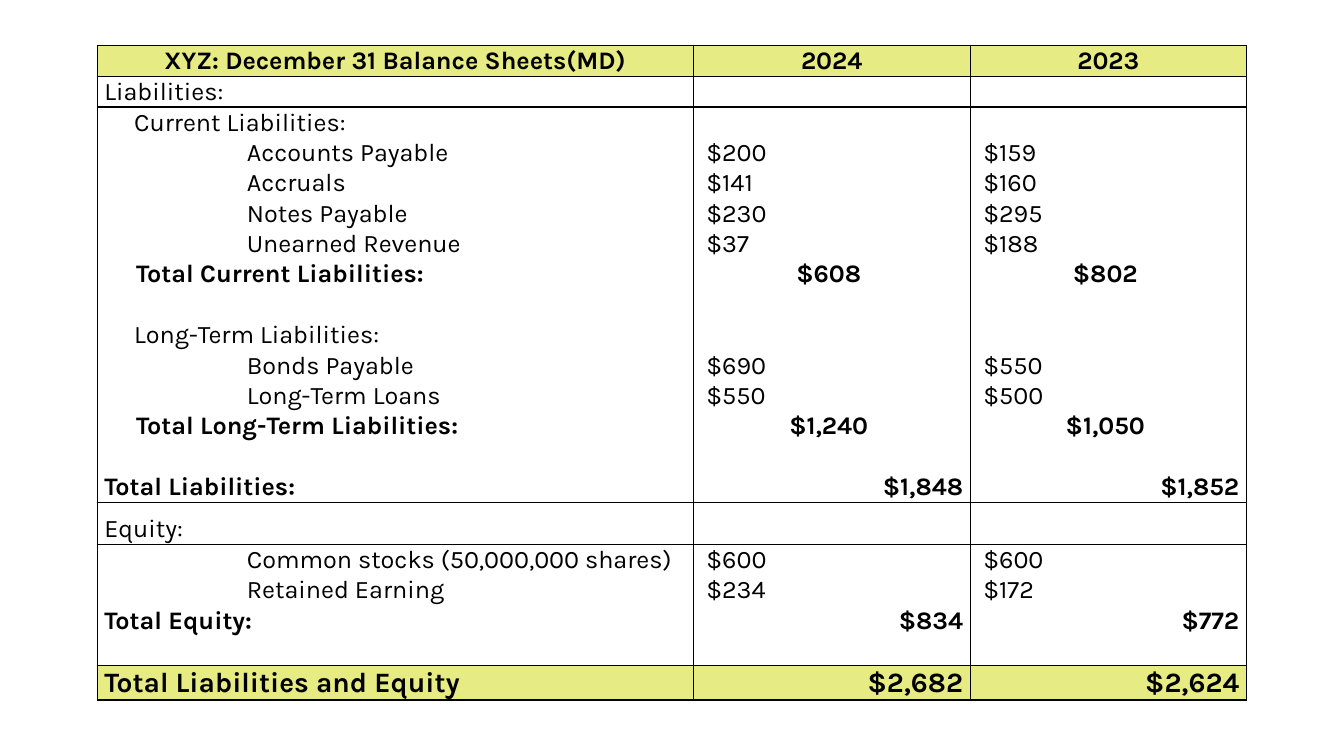
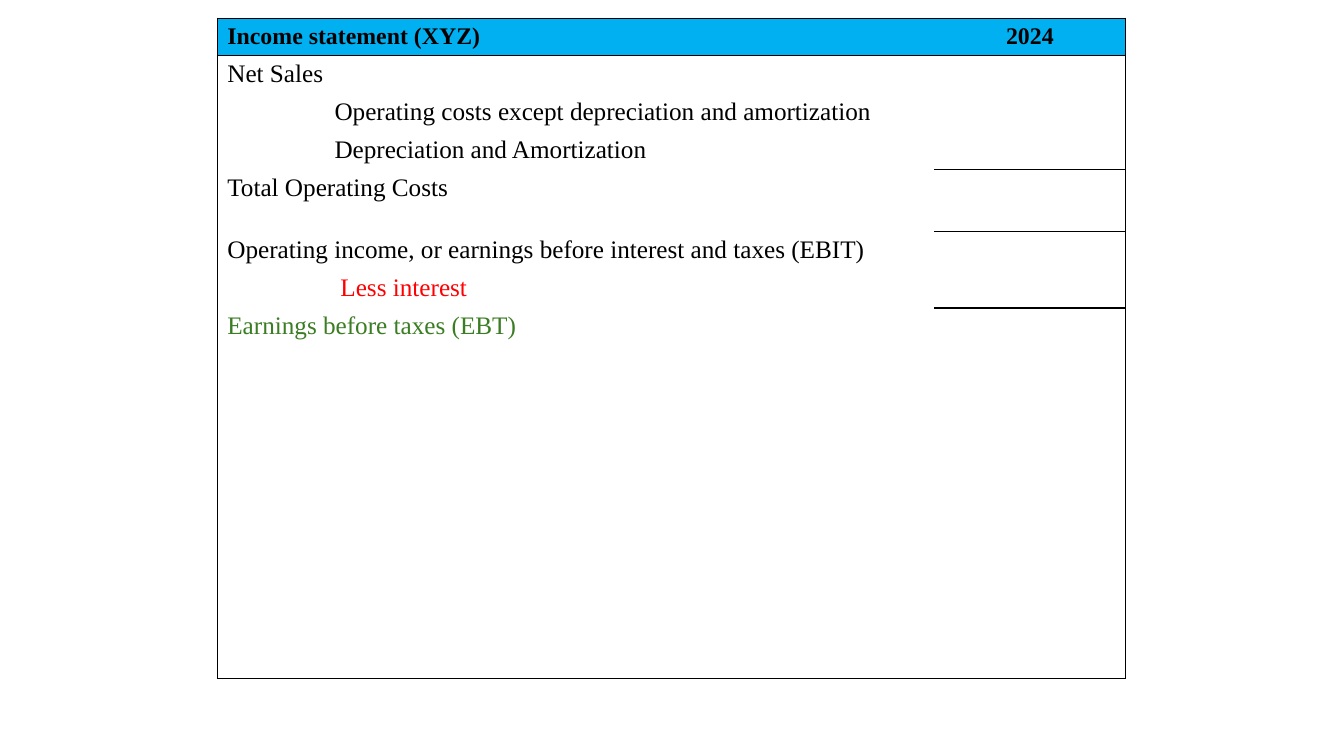
from dataclasses import dataclass, replace
from typing import Optional

from lxml.etree import SubElement
from pptx import Presentation
from pptx.dml.color import RGBColor
from pptx.enum.text import MSO_ANCHOR as Anchor, PP_ALIGN as Align
from pptx.oxml.ns import qn
from pptx.util import Cm, Pt


@dataclass(frozen=True)
class Theme:
    ink: str = "000000"
    lime: str = "E7EB83"
    sky: str = "00B0F0"
    red: str = "FF0000"
    green: str = "3B7D23"
    sans: str = "Karla"
    serif: str = "Times New Roman"
    small: float = 17
    body: float = 18
    large: float = 20
    border: float = 1
    plain_table: str = "{2D5ABB26-0587-4C30-8999-92F81FD0307C}"


THEME = Theme()


@dataclass(frozen=True)
class RowStyle:
    height: float
    size: float = THEME.body
    bold: bool = False
    color: str = THEME.ink
    fill: Optional[str] = None
    indent: float = 0
    label_align: Align = Align.LEFT
    label_anchor: Anchor = Anchor.MIDDLE
    value_align: Align = Align.LEFT
    value_left: float = 0
    value_right: float = 0
    ruled: tuple[int, ...] = ()


@dataclass(frozen=True)
class Entry:
    style: RowStyle
    label: str = ""
    values: tuple[str, ...] = ()


@dataclass(frozen=True)
class Sheet:
    left: float
    top: float
    columns: tuple[float, ...]
    font: str
    side_margin: float
    top_margin: float
    bottom_margin: float
    vertical_edges: tuple[int, ...]
    entries: tuple[Entry, ...]


def draw_border(cell, tag: str, shown: bool) -> None:
    line = SubElement(cell._tc.get_or_add_tcPr(), qn(f"a:{tag}"), w=str(Pt(THEME.border)))
    if shown:
        solid = SubElement(line, qn("a:solidFill"))
        SubElement(solid, qn("a:srgbClr"), val=THEME.ink)
    else:
        SubElement(line, qn("a:noFill"))


def write_text(cell, text: str, style: RowStyle, font: str, align: Align) -> None:
    para = cell.text_frame.paragraphs[0]
    para.alignment = align
    if not text:
        ending = SubElement(para._p, qn("a:endParaRPr"), sz=str(int(style.size * 100)))
        SubElement(ending, qn("a:latin"), typeface=font)
        return
    span = para.add_run()
    span.text = text
    span.font.name = font
    span.font.size = Pt(style.size)
    span.font.bold = style.bold
    span.font.color.rgb = RGBColor.from_string(style.color)


def draw_cell(cell, sheet: Sheet, row: int, column: int) -> None:
    entry = sheet.entries[row]
    style = entry.style
    above = sheet.entries[row - 1].style.ruled if row else range(len(sheet.columns))
    borders = {
        "lnL": column in sheet.vertical_edges,
        "lnR": column + 1 in sheet.vertical_edges,
        "lnT": column in above,
        "lnB": column in style.ruled,
    }
    for tag, shown in borders.items():
        draw_border(cell, tag, shown)
    if style.fill:
        cell.fill.solid()
        cell.fill.fore_color.rgb = RGBColor.from_string(style.fill)
    else:
        cell.fill.background()

    is_label = column == 0
    cell.margin_left = Cm(sheet.side_margin + (style.indent if is_label else style.value_left))
    cell.margin_right = Cm(sheet.side_margin + (0 if is_label else style.value_right))
    cell.margin_top = Cm(sheet.top_margin)
    cell.margin_bottom = Cm(sheet.bottom_margin)
    cell.vertical_anchor = style.label_anchor if is_label else Anchor.MIDDLE
    texts = (entry.label, *entry.values)
    text = texts[column] if column < len(texts) else ""
    write_text(cell, text, style, sheet.font, style.label_align if is_label else style.value_align)


def draw_sheet(deck, sheet: Sheet) -> None:
    page = deck.slides.add_slide(deck.slide_layouts[6])
    height = sum(entry.style.height for entry in sheet.entries)
    frame = page.shapes.add_table(
        len(sheet.entries), len(sheet.columns),
        Cm(sheet.left), Cm(sheet.top), Cm(sum(sheet.columns)), Cm(height),
    )
    table = frame.table
    table.first_row = False
    table.horz_banding = False
    table._tbl.tblPr.find(qn("a:tableStyleId")).text = THEME.plain_table
    for column, width in enumerate(sheet.columns):
        table.columns[column].width = Cm(width)
    for row, entry in enumerate(sheet.entries):
        table.rows[row].height = Cm(entry.style.height)
        for column in range(len(sheet.columns)):
            draw_cell(table.cell(row, column), sheet, row, column)


def balance_sheet() -> Sheet:
    across = (0, 1, 2)
    space = 0.15
    blank = RowStyle(0.76)
    header = RowStyle(0.79, bold=True, fill=THEME.lime, label_align=Align.CENTER,
                      value_align=Align.CENTER, ruled=across)
    section = replace(blank, indent=space, ruled=across)
    equity = replace(section, height=1.06, label_anchor=Anchor.BOTTOM)
    group = replace(blank, indent=0.9)
    item = replace(blank, indent=3.74, value_left=0.3)
    subtotal = replace(blank, bold=True, indent=0.95, value_align=Align.CENTER, value_right=space)
    total = replace(subtotal, indent=space, value_align=Align.RIGHT)
    grand_total = replace(total, height=0.86, size=THEME.large, fill=THEME.lime, ruled=across)
    return Sheet(
        left=2.45, top=1.14, columns=(15.02, 6.98, 6.96), font=THEME.sans,
        side_margin=0.03, top_margin=0.02, bottom_margin=0, vertical_edges=(0, 1, 2, 3),
        entries=(
            Entry(header, "XYZ: December 31 Balance Sheets(MD)", ("2024", "2023")),
            Entry(section, "Liabilities:"),
            Entry(group, "Current Liabilities:"),
            Entry(item, "Accounts Payable", ("$200", "$159")),
            Entry(item, "Accruals", ("$141", "$160")),
            Entry(item, "Notes Payable", ("$230", "$295")),
            Entry(item, "Unearned Revenue", ("$37", "$188")),
            Entry(subtotal, "Total Current Liabilities:", ("$608", "$802")),
            Entry(blank),
            Entry(group, "Long-Term Liabilities:"),
            Entry(item, "Bonds Payable", ("$690", "$550")),
            Entry(item, "Long-Term Loans", ("$550", "$500")),
            Entry(subtotal, "Total Long-Term Liabilities:", ("$1,240", "$1,050")),
            Entry(blank),
            Entry(replace(total, ruled=across), "Total Liabilities:", ("$1,848", "$1,852")),
            Entry(equity, "Equity:"),
            Entry(item, "Common stocks (50,000,000 shares)", ("$600", "$600")),
            Entry(item, "Retained Earning", ("$234", "$172")),
            Entry(total, "Total Equity:", ("$834", "$772")),
            Entry(replace(blank, ruled=across)),
            Entry(grand_total, "Total Liabilities and Equity", ("$2,682", "$2,624")),
        ),
    )


def income_statement() -> Sheet:
    across, amount = (0, 1), (1,)
    blank = RowStyle(0.93, size=THEME.small)
    header = replace(blank, bold=True, fill=THEME.sky, value_align=Align.CENTER, ruled=across)
    line = RowStyle(0.96, label_anchor=Anchor.TOP)
    cost = replace(line, indent=2.7)
    interest = replace(line, indent=2.85, color=THEME.red, ruled=amount)
    return Sheet(
        left=5.48, top=0.46, columns=(18.06, 4.83), font=THEME.serif,
        side_margin=0.25, top_margin=0.11, bottom_margin=0.11, vertical_edges=(0, 2),
        entries=(
            Entry(header, "Income statement (XYZ)", ("2024",)),
            Entry(line, "Net Sales"),
            Entry(cost, "Operating costs except depreciation and amortization"),
            Entry(replace(cost, ruled=amount), "Depreciation and Amortization"),
            Entry(replace(line, height=1.57, ruled=amount), "Total Operating Costs"),
            Entry(line, "Operating income, or earnings before interest and taxes (EBIT)"),
            Entry(interest, "Less interest"),
            Entry(replace(line, color=THEME.green), "Earnings before taxes (EBT)"),
            *[Entry(blank)] * 8,
            Entry(replace(blank, ruled=across)),
        ),
    )


def main() -> None:
    deck = Presentation()
    deck.slide_width = Cm(33.87)
    deck.slide_height = Cm(19.05)
    for sheet in (balance_sheet(), income_statement()):
        draw_sheet(deck, sheet)
    deck.save("out.pptx")


if __name__ == "__main__":
    main()
